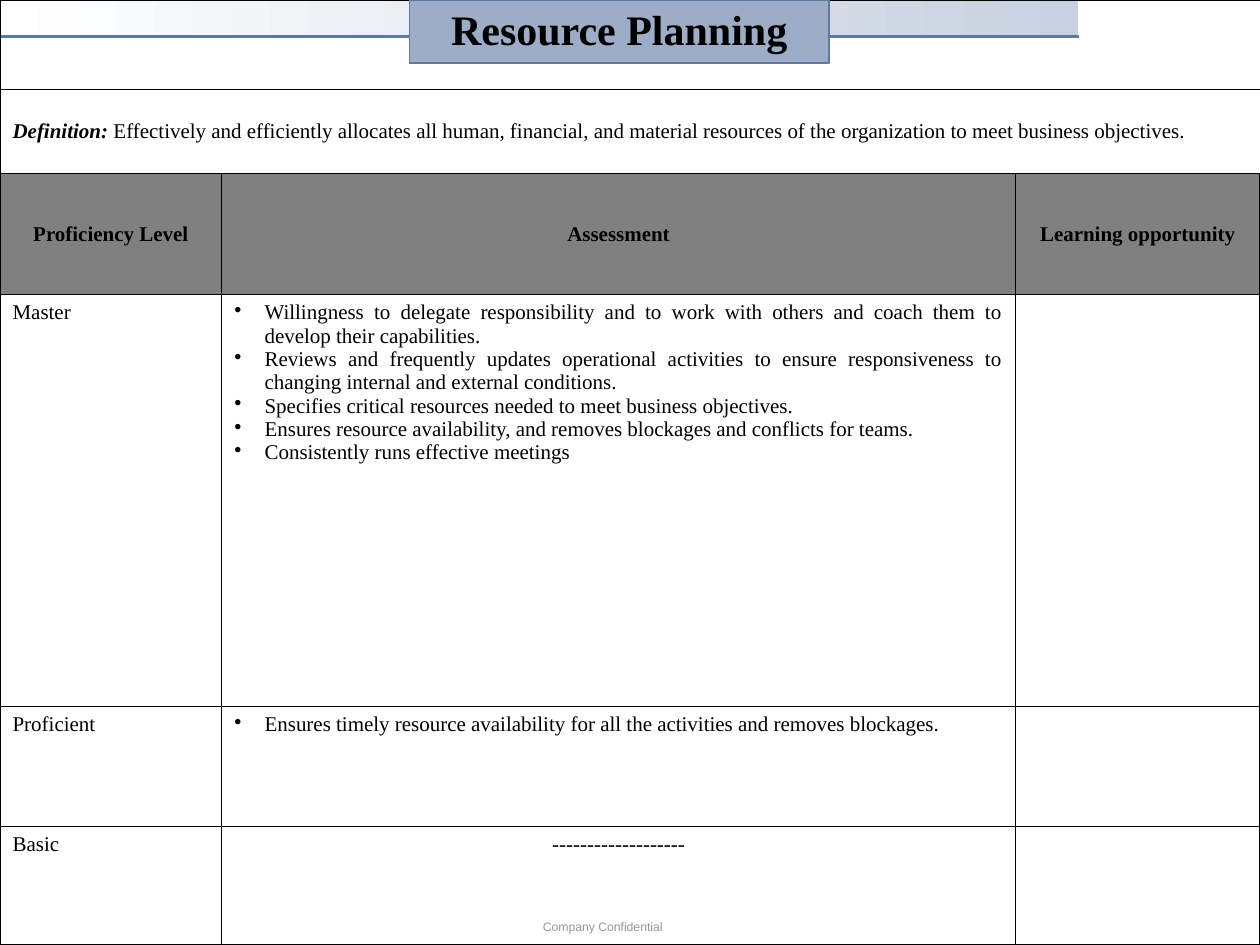
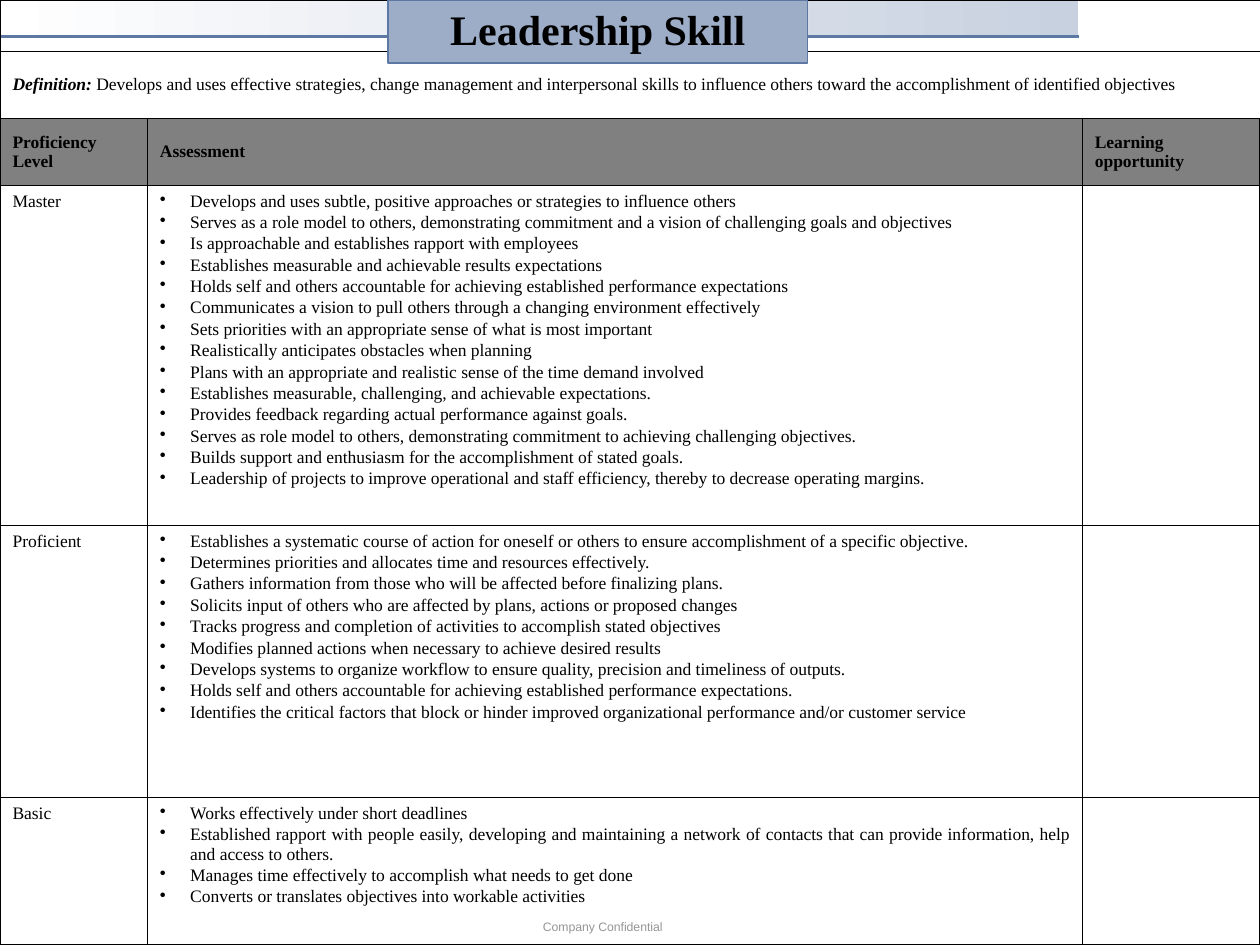
from lxml import etree
from pptx import Presentation
from pptx.dml.color import RGBColor
from pptx.enum.shapes import MSO_CONNECTOR, MSO_SHAPE
from pptx.enum.text import MSO_ANCHOR, MSO_AUTO_SIZE, PP_ALIGN
from pptx.oxml import parse_xml
from pptx.oxml.ns import nsdecls, qn
from pptx.util import Inches, Pt

LEFT, CENTER, JUSTIFY = PP_ALIGN.LEFT, PP_ALIGN.CENTER, PP_ALIGN.JUSTIFY
TOP, MIDDLE = MSO_ANCHOR.TOP, MSO_ANCHOR.MIDDLE
NO_AUTOFIT = MSO_AUTO_SIZE.NONE
RECTANGLE, STRAIGHT = MSO_SHAPE.RECTANGLE, MSO_CONNECTOR.STRAIGHT

BLACK = RGBColor(0x00, 0x00, 0x00)
WHITE = RGBColor(0xFF, 0xFF, 0xFF)
HEADER_GRAY = RGBColor(0x80, 0x80, 0x80)
FOOTER_GRAY = RGBColor(0x96, 0x96, 0x96)
BAND_BLUE = RGBColor(0xC8, 0xD1, 0xE0)
TITLE_BLUE = RGBColor(0x9D, 0xAD, 0xC7)
RULE_BLUE = RGBColor(0x5D, 0x78, 0xA3)
SERIF, SANS = "Times New Roman", "Arial"
THIN, THICK = Pt(0.45), Pt(1.08)

SKILLS = [
    {
        "title": "Resource Planning",
        "title_left": 3.25,
        "size": 12,
        "space_after": 0,
        "header_align": CENTER,
        "level_align": LEFT,
        "columns": [1.76, 6.3, 1.94],
        "rows": [0.71, 0.67, 0.96, 3.27, 0.95, 0.94],
        "definition": "Effectively and efficiently allocates all human, financial, and material resources "
                      "of the organization to meet business objectives.",
        "assessments": {
            "Master": [
                "Willingness to delegate responsibility and to work with others and coach them to "
                "develop their capabilities.",
                "Reviews and frequently updates operational activities to ensure responsiveness to "
                "changing internal and external conditions.",
                "Specifies critical resources needed to meet business objectives.",
                "Ensures resource availability, and removes blockages and conflicts for teams.",
                "Consistently runs effective meetings",
            ],
            "Proficient": [
                "Ensures timely resource availability for all the activities and removes blockages.",
            ],
            "Basic": "-------------------",
        },
    },
    {
        "title": "Leadership Skill",
        "title_left": 3.08,
        "size": 10,
        "space_after": 1.2,
        "header_align": JUSTIFY,
        "level_align": JUSTIFY,
        "columns": [1.17, 7.42, 1.41],
        "rows": [0.41, 0.53, 0.53, 2.7, 2.16, 1.17],
        "definition": "Develops and uses effective strategies, change management and interpersonal skills "
                      "to influence others toward the accomplishment of identified objectives",
        "assessments": {
            "Master": [
                "Develops and uses subtle, positive approaches or strategies to influence others",
                "Serves as a role model to others, demonstrating commitment and a vision of "
                "challenging goals and objectives",
                "Is approachable and establishes rapport with employees",
                "Establishes measurable and achievable results expectations",
                "Holds self and others accountable for achieving established performance expectations",
                "Communicates a vision to pull others through a changing environment effectively",
                "Sets priorities with an appropriate sense of what is most important",
                "Realistically anticipates obstacles when planning",
                "Plans with an appropriate and realistic sense of the time demand involved",
                "Establishes measurable, challenging, and achievable expectations.",
                "Provides feedback regarding actual performance against goals.",
                "Serves as role model to others, demonstrating commitment to achieving challenging objectives.",
                "Builds support and enthusiasm for the accomplishment of stated goals.",
                "Leadership of projects to improve operational and staff efficiency, thereby to "
                "decrease operating margins.",
            ],
            "Proficient": [
                "Establishes a systematic course of action for oneself or others to ensure "
                "accomplishment of a specific objective.",
                "Determines priorities and allocates time and resources effectively.",
                "Gathers information from those who will be affected before finalizing plans.",
                "Solicits input of others who are affected by plans, actions or proposed changes",
                "Tracks progress and completion of activities to accomplish stated objectives",
                "Modifies planned actions when necessary to achieve desired results",
                "Develops systems to organize workflow to ensure quality, precision and timeliness of outputs.",
                "Holds self and others accountable for achieving established performance expectations.",
                "Identifies the critical factors that block or hinder improved organizational "
                "performance and/or customer service",
            ],
            "Basic": [
                "Works effectively under short deadlines",
                "Established rapport with people easily, developing and maintaining a network of "
                "contacts that can provide information, help and access to others.",
                "Manages time effectively to accomplish what needs to get done",
                "Converts or translates objectives into workable activities",
            ],
        },
    },
]


def write(frame, text, lead="", size=12, font=SERIF, color=BLACK, bold=False,
          align=LEFT, space_after=0, bullet=False):
    lines = text if isinstance(text, list) else [text]
    for number, line in enumerate(lines):
        paragraph = frame.add_paragraph() if number else frame.paragraphs[0]
        paragraph.alignment = align
        paragraph.space_before = Pt(0)
        paragraph.space_after = Pt(space_after)
        if bullet:
            properties = paragraph._p.get_or_add_pPr()
            properties.set("marL", str(Inches(0.24)))
            properties.set("indent", str(Inches(-0.24)))
            etree.SubElement(properties, qn("a:buChar"), char="•")
        for words, is_lead in ((lead, True), (line, False)):
            if words:
                run = paragraph.add_run()
                run.text = words
                run.font.name = font
                run.font.size = Pt(size)
                run.font.color.rgb = color
                run.font.bold = bold or is_lead
                run.font.italic = is_lead


def draw_borders(cell, widths):
    for side, width in zip(("lnL", "lnR", "lnT", "lnB"), widths):
        cell._tc.get_or_add_tcPr().append(parse_xml(
            f'<a:{side} {nsdecls("a")} w="{width}"><a:solidFill>'
            f'<a:srgbClr val="{BLACK}"/></a:solidFill></a:{side}>'))


prs = Presentation()
prs.slide_width, prs.slide_height = Inches(10), Inches(7.5)
title_only = prs.slide_layouts[5]

for skill in SKILLS:
    slide = prs.slides.add_slide(title_only)
    shapes = slide.shapes

    band = shapes.add_shape(RECTANGLE, Inches(0), Inches(0), Inches(8.56), Inches(0.29))
    band.shadow.inherit = False
    band.line.fill.background()
    band.fill.gradient()
    band.fill.gradient_angle = 0
    for stop, color in zip(band.fill.gradient_stops, (WHITE, BAND_BLUE)):
        stop.color.rgb = color

    rule = shapes.add_connector(STRAIGHT, Inches(-0.03), Inches(0.29), Inches(8.56), Inches(0.29))
    rule.line.color.rgb = RULE_BLUE
    rule.line.width = Pt(2.25)
    etree.SubElement(rule._element.spPr, qn("a:effectLst"))

    footer = shapes.add_textbox(Inches(4.21), Inches(7.25), Inches(1.56), Inches(0.22))
    footer.text_frame.word_wrap = False
    write(footer.text_frame, "Company Confidential", size=7, font=SANS, color=FOOTER_GRAY)

    grid = shapes.add_table(6, 3, Inches(0), Inches(0), Inches(10), Inches(7.5)).table
    grid.first_row = grid.horz_banding = False
    for column, width in zip(grid.columns, skill["columns"]):
        column.width = Inches(width)
    for row, height in zip(grid.rows, skill["rows"]):
        row.height = Inches(height)
    for r in range(6):
        for c in range(3):
            cell = grid.cell(r, c)
            draw_borders(cell, [THICK if edge else THIN for edge in (c == 0, c == 2, r == 0, r == 5)])
            if r == 2:
                cell.fill.solid()
                cell.fill.fore_color.rgb = HEADER_GRAY
            else:
                cell.fill.background()
            cell.vertical_anchor = MIDDLE if r in (1, 2) else TOP
    for r in (0, 1):
        grid.cell(r, 0).merge(grid.cell(r, 2))

    body = {"size": skill["size"], "space_after": skill["space_after"]}
    write(grid.cell(1, 0).text_frame, skill["definition"], lead="Definition: ", align=JUSTIFY, **body)
    for c, heading in enumerate(("Proficiency Level", "Assessment", "Learning opportunity")):
        write(grid.cell(2, c).text_frame, heading, bold=True, align=skill["header_align"], **body)
    for r, (level, assessment) in enumerate(skill["assessments"].items(), start=3):
        listed = isinstance(assessment, list)
        write(grid.cell(r, 0).text_frame, level, align=skill["level_align"], **body)
        write(grid.cell(r, 1).text_frame, assessment, bullet=listed,
              align=JUSTIFY if listed else CENTER, **body)

    title = shapes.title
    title.left, title.top = Inches(skill["title_left"]), Inches(0)
    title.width, title.height = Inches(3.33), Inches(0.5)
    title.fill.solid()
    title.fill.fore_color.rgb = TITLE_BLUE
    title.line.color.rgb = RULE_BLUE
    title.line.width = Pt(1)
    frame = title.text_frame
    frame.auto_size = NO_AUTOFIT
    frame.word_wrap = False
    frame.vertical_anchor = TOP
    frame.margin_left = frame.margin_right = frame.margin_bottom = 0
    frame.margin_top = Inches(0.03)
    write(frame, skill["title"], size=24, bold=True, align=CENTER)
    title.element.getparent().append(title.element)

prs.save("out.pptx")
